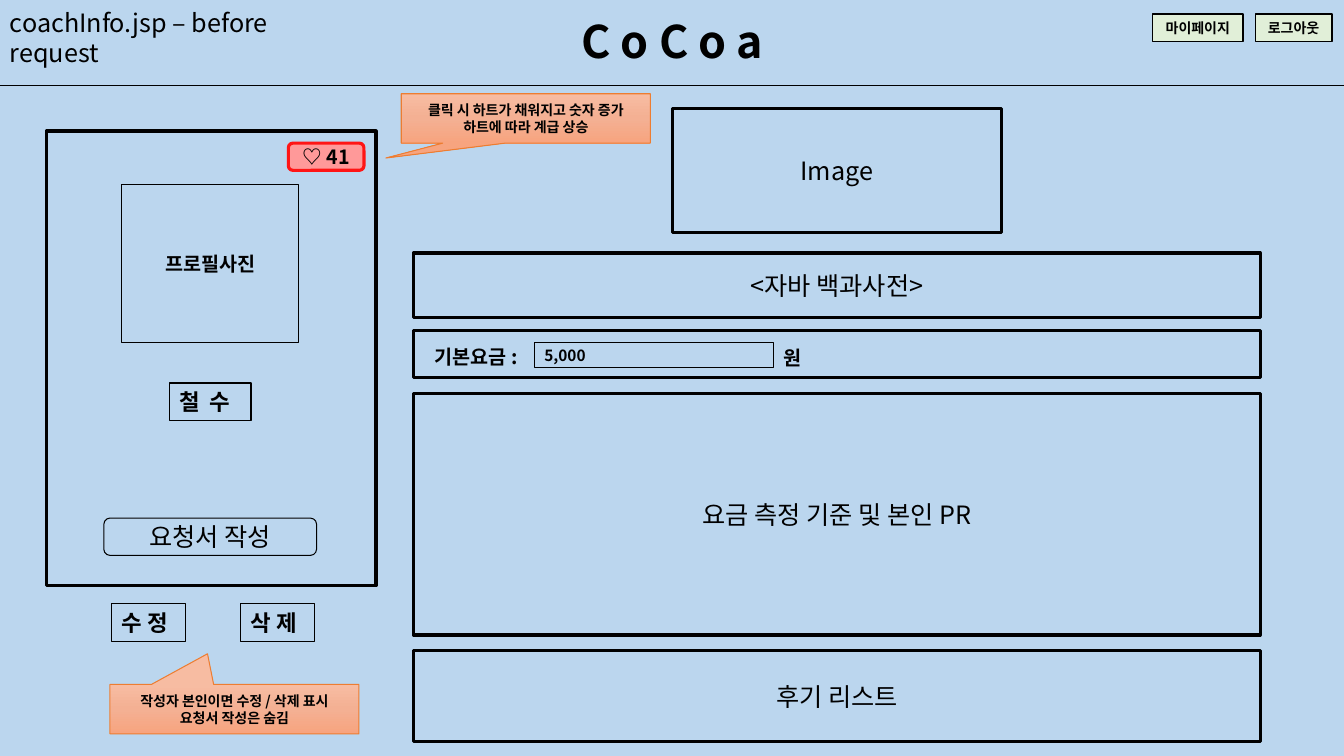
"""Builds the coach information page wireframe as a single slide."""
from dataclasses import dataclass

from lxml import etree
from pptx import Presentation
from pptx.dml.color import RGBColor
from pptx.enum.shapes import MSO_CONNECTOR, MSO_SHAPE
from pptx.enum.text import MSO_ANCHOR, MSO_AUTO_SIZE, PP_ALIGN
from pptx.oxml.ns import qn
from pptx.util import Inches, Pt

RECT, ROUNDED = MSO_SHAPE.RECTANGLE, MSO_SHAPE.ROUNDED_RECTANGLE
CALLOUT = MSO_SHAPE.RECTANGULAR_CALLOUT
STRAIGHT = MSO_CONNECTOR.STRAIGHT
LEFT, CENTER = PP_ALIGN.LEFT, PP_ALIGN.CENTER
TOP, MIDDLE = MSO_ANCHOR.TOP, MSO_ANCHOR.MIDDLE
GROW, FIXED = MSO_AUTO_SIZE.SHAPE_TO_FIT_TEXT, MSO_AUTO_SIZE.NONE


@dataclass(frozen=True)
class Theme:
    font: str = "Noto Sans CJK KR"
    ink: str = "000000"
    page: str = "BBD6EE"
    menu: str = "E1EFD8"
    like: str = "FF9999"
    like_edge: str = "FF1515"
    note_edge: str = "ED7D31"
    note_stops: tuple = ((0, "F7BCA2"), (50, "F4B093"), (100, "F7A47F"))
    title: int = 32
    body: int = 18
    button: int = 16
    label: int = 14
    value: int = 11
    small: int = 10
    thin: float = 0.75
    medium: float = 1
    thick: float = 2.25


theme = Theme()


def write(holder, text, size, bold=False, align=CENTER, anchor=MIDDLE):
    frame = holder.text_frame
    frame.word_wrap = True
    frame.auto_size = GROW if anchor == TOP else FIXED
    frame.vertical_anchor = anchor
    for index, line in enumerate(text.split("\n")):
        paragraph = frame.add_paragraph() if index else frame.paragraphs[0]
        paragraph.alignment = align
        run = paragraph.add_run()
        run.text = line
        run.font.size, run.font.bold, run.font.name = Pt(size), bold, theme.font
        run.font.color.rgb = RGBColor.from_string(theme.ink)
        east_asian = etree.Element(qn("a:ea"), typeface=theme.font)
        run.font._element.find(qn("a:latin")).addnext(east_asian)


def draw(kind, at, weight, edge=theme.ink, fill=None):
    shape = slide.shapes.add_shape(kind, *map(Inches, at))
    shape.shadow.inherit = False
    shape.line.color.rgb = RGBColor.from_string(edge)
    shape.line.width = Pt(weight)
    if fill:
        shape.fill.solid()
        shape.fill.fore_color.rgb = RGBColor.from_string(fill)
    else:
        shape.fill.background()
    return shape


prs = Presentation()
prs.slide_width, prs.slide_height = Inches(13.33), Inches(7.5)
slide = prs.slides.add_slide(prs.slide_layouts[5])
slide.background.fill.solid()
slide.background.fill.fore_color.rgb = RGBColor.from_string(theme.page)

site_name = slide.shapes.title
site_name.left, site_name.top = Inches(5.05), Inches(0.09)
site_name.width, site_name.height = Inches(3.24), Inches(0.64)
write(site_name, "C o C o a", theme.title, True, anchor=TOP)

header_rule = slide.shapes.add_connector(
    STRAIGHT, Inches(0), Inches(0.85), Inches(13.33), Inches(0.85))
header_rule.line.color.rgb = RGBColor.from_string(theme.ink)
header_rule.line.width = Pt(theme.thin)
etree.SubElement(header_rule._element.spPr, qn("a:effectLst"))

for at, text, size, bold in (
    ((0, 0.02, 3.67, 0.4), "coachInfo.jsp – before request", theme.body, False),
    ((4.21, 3.37, 1.1, 0.34), "기본요금 :", theme.label, True),
    ((7.67, 3.38, 0.38, 0.34), "원", theme.label, True),
):
    caption = slide.shapes.add_textbox(*map(Inches, at))
    write(caption, text, size, bold, LEFT, TOP)

for left, width, text in ((11.43, 0.9, "마이페이지"), (12.45, 0.76, "로그아웃")):
    menu_button = draw(RECT, (left, 0.14, width, 0.27), theme.medium, fill=theme.menu)
    write(menu_button, text, theme.small, True, anchor=TOP)

draw(RECT, (0.46, 1.3, 3.27, 4.51), theme.thick)
profile_photo = draw(RECT, (1.21, 1.83, 1.75, 1.57), theme.thin)
write(profile_photo, "프로필사진", theme.label, True)
like_badge = draw(ROUNDED, (2.86, 1.42, 0.75, 0.27), theme.thick, theme.like_edge, theme.like)
write(like_badge, "♡ 41", theme.label, True)
request_button = draw(ROUNDED, (1.03, 5.14, 2.11, 0.37), theme.thin)
write(request_button, "요청서 작성", theme.body)

for left, top, width, text in (
    (1.68, 3.8, 0.81, "철  수"),
    (1.11, 5.99, 0.73, "수 정"),
    (2.39, 5.99, 0.73, "삭 제"),
):
    name_button = draw(RECT, (left, top, width, 0.37), theme.thin)
    write(name_button, text, theme.button, True, LEFT, TOP)

image_area = draw(RECT, (6.67, 1.08, 3.26, 1.23), theme.thick)
write(image_area, "Image", theme.body)

for top, height, text in (
    (2.51, 0.64, "<자바 백과사전>"),
    (3.28, 0.47, ""),
    (3.9, 2.4, "요금 측정 기준 및 본인 PR"),
    (6.45, 0.91, "후기 리스트"),
):
    section = draw(RECT, (4.1, top, 8.4, height), theme.thick)
    if text:
        write(section, text, theme.body)

fee_field = draw(RECT, (5.3, 3.4, 2.37, 0.25), theme.thin)
write(fee_field, "5,000", theme.value, True, LEFT)

for left, top, tip, text in (
    (3.98, 0.93, (-0.562, 0.802), "클릭 시 하트가 채워지고 숫자 증가\n하트에 따라 계급 상승"),
    (1.09, 6.79, (-0.108, -1.121), "작성자 본인이면 수정 / 삭제 표시\n요청서 작성은 숨김"),
):
    note = draw(CALLOUT, (left, top, 2.47, 0.49), theme.thin, theme.note_edge)
    note.adjustments[0], note.adjustments[1] = tip
    gradient = etree.Element(qn("a:gradFill"), rotWithShape="1")
    stops = etree.SubElement(gradient, qn("a:gsLst"))
    for percent, color in theme.note_stops:
        stop = etree.SubElement(stops, qn("a:gs"), pos=str(percent * 1000))
        etree.SubElement(stop, qn("a:srgbClr"), val=color)
    etree.SubElement(gradient, qn("a:lin"), ang="5400000", scaled="0")
    properties = note._element.spPr
    properties.replace(properties.find(qn("a:noFill")), gradient)
    write(note, text, theme.small, True)

prs.save("out.pptx")
